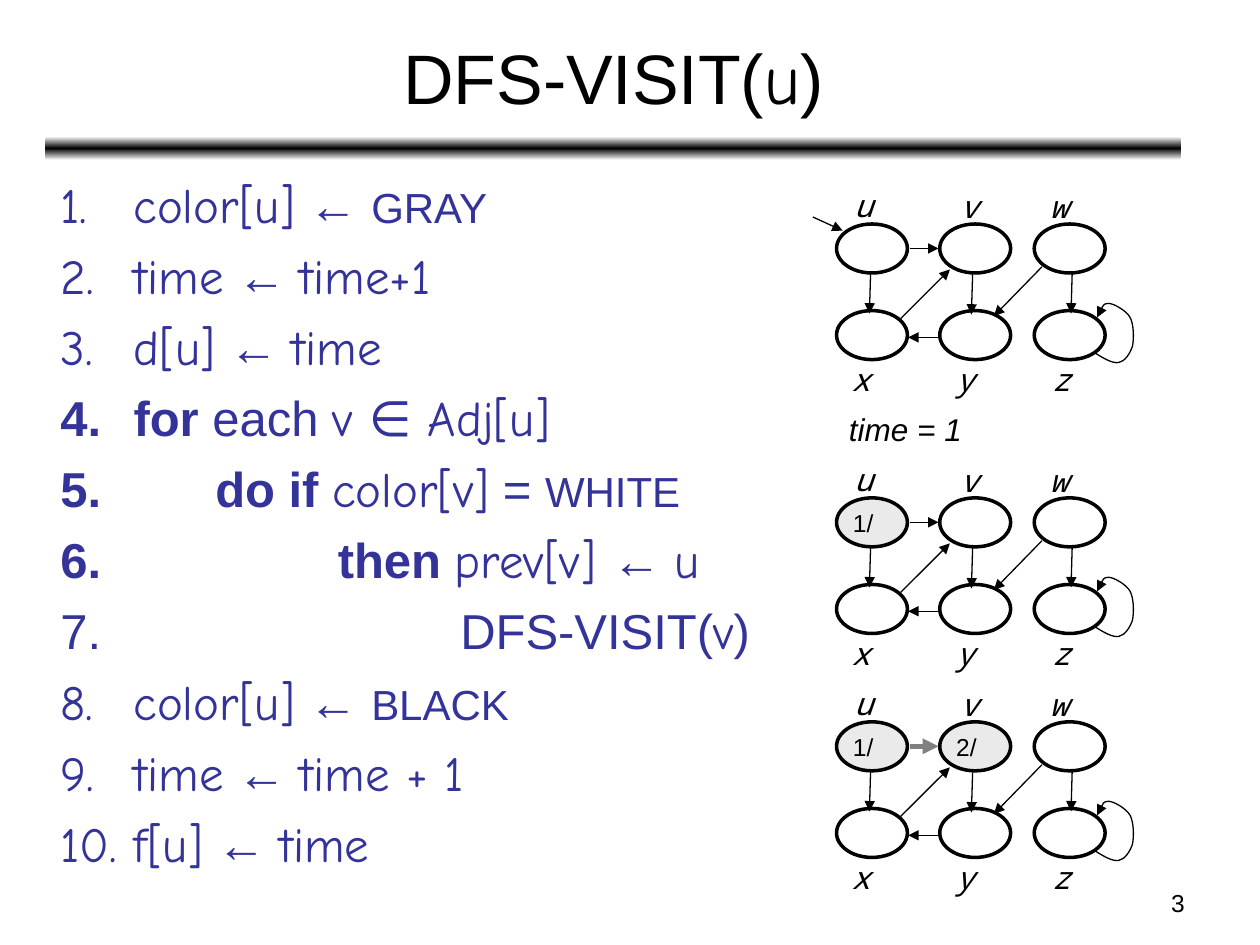
import copy

from pptx import Presentation
from pptx import util as u
from pptx.dml.color import RGBColor
from pptx.enum import shapes, text
from pptx.oxml.ns import qn
from lxml import etree

Pt = u.Pt
COLORS = {"ink": "000000", "code": "333399", "visited": "EAEAEA", "tree": "808080", "paper": "FFFFFF"}
SANS, HAND, MONO = "Arial", "Comic Neue", "Noto Sans Mono"

# Content: (text, font, bold, size)
TITLE = [("DFS-VISIT(", SANS), ("u", HAND), (")", SANS)]
ARROW = (" ← ", SANS)
# Each line: indent depth, runs
CODE = [
    (0, [("color[u]", HAND), ARROW, ("GRAY", SANS, False, 24)]),
    (0, [("time", HAND), ARROW, ("time+1", HAND)]),
    (0, [("d[u]", HAND), ARROW, ("time", HAND)]),
    (0, [("for ", SANS, True), ("each ", SANS), ("v ∈ Adj[u]", HAND)]),
    (1, [("do if ", SANS, True), ("color[v]", HAND), (" = ", SANS), ("WHITE", SANS, False, 24)]),
    (2, [("then ", SANS, True), ("prev[v] ", HAND), ("← ", SANS), ("u", HAND)]),
    (3, [("DFS-VISIT(", SANS), ("v", HAND), (")", SANS)]),
    (0, [("color[u]", HAND), ARROW, ("BLACK", SANS, False, 24)]),
    (0, [("time", HAND), ARROW, ("time + 1", HAND)]),
    (0, [("f[u]", HAND), ARROW, ("time", HAND)]),
]
INDENTS = [41.75, 88.5, 158.5, 228.5]

# Graph geometry, relative to the corner of node u
NODES = {"u": (0, 0), "v": (59, 0), "w": (113, 0), "x": (0, 49.5), "y": (59, 49.5), "z": (113, 49.5)}
NODE_SIZE = (40.5, 28)
LABELS = {"u": (3, -25.2, 23), "v": (63.5, -24.5, 22.5), "w": (114.5, -24.5, 27),
          "x": (1.5, 74, 22.5), "y": (61, 74, 21.5), "z": (116, 74, 22.5)}
EDGES = {"ux": (19.5, 28, 18.8, 51.2), "vy": (77.8, 28.8, 77.1, 51.8), "wz": (134.7, 28, 134, 51.2),
         "uv": (41.8, 14, 58.3, 14), "yx": (58.3, 64.8, 41, 64.8),
         "wy": (117.4, 24.5, 90, 52.6), "xv": (36.7, 54, 64.8, 26)}
# Start point, then three points for each curve segment
SELF_LOOP = [(147.6, 73.6), (152.6, 76.8), (157.7, 79.8), (161.3, 79.2), (164.9, 78.5), (167.8, 74),
             (169.2, 69.8), (170, 65.5), (170, 57.6), (167.8, 53.4), (165.6, 49.5), (158.4, 45.4),
             (155.5, 45.4), (152.6, 45.4), (150.5, 49.5), (149, 53.4)]

# Each step: top, times shown in visited nodes, tree edges
GRAPH_LEFT = 478
STEPS = [(128, {}, []), (284.5, {"u": "1/"}, []), (412.5, {"u": "1/", "v": "2/"}, ["uv"])]


def rgb(name):
    return RGBColor.from_string(COLORS[name])


def set_font(font, size, name, color="ink", **style):
    font.size, font.name = Pt(size), name
    font.color.rgb = rgb(color)
    for key, value in style.items():
        setattr(font, key, value)


def add_runs(paragraph, runs, size, color):
    for content, name, *rest in runs:
        bold, run_size = (rest + [False, size][len(rest):])
        run = paragraph.add_run()
        run.text = content
        set_font(run.font, run_size, name, color, bold=bold)


def add_text(parent, box, content, size, name, wrap=False, align=None, **style):
    shape = parent.add_textbox(*map(Pt, box))
    shape.text_frame.word_wrap = wrap
    paragraph = shape.text_frame.paragraphs[0]
    paragraph.text = content
    if align is not None:
        paragraph.alignment = align
    set_font(paragraph.font, size, name, **style)


def add_arrowhead(shape):
    tail = etree.SubElement(shape.line._get_or_add_ln(), qn("a:tailEnd"))
    tail.set("type", "triangle")


def add_arrow(parent, ends, color="ink", width=0.75):
    arrow = parent.add_connector(shapes.MSO_CONNECTOR.STRAIGHT, *map(Pt, ends))
    arrow.line.color.rgb = rgb(color)
    arrow.line.width = Pt(width)
    add_arrowhead(arrow)
    etree.SubElement(arrow._element.spPr, qn("a:effectLst"))


def add_self_loop(parent, points):
    points = [(Pt(x), Pt(y)) for x, y in points]
    builder = parent.build_freeform(*points[0])
    builder.add_line_segments(points[1:], close=False)
    loop = builder.convert_to_shape()
    loop.shadow.inherit = False
    loop.fill.background()
    loop.line.color.rgb = rgb("ink")
    loop.line.width = Pt(0.75)
    add_arrowhead(loop)
    # Turn each three straight segments into one cubic curve
    outline = next(loop._element.iter(qn("a:path")))
    segments = outline.findall(qn("a:lnTo"))
    for start in range(0, len(segments), 3):
        curve = etree.SubElement(outline, qn("a:cubicBezTo"))
        for segment in segments[start:start + 3]:
            curve.append(segment[0])
            outline.remove(segment)


def add_graph(slide, top, times, tree_edges):
    parent = slide.shapes.add_group_shape().shapes
    for name, (x, y) in NODES.items():
        node = parent.add_shape(shapes.MSO_SHAPE.OVAL, Pt(GRAPH_LEFT + x), Pt(top + y), *map(Pt, NODE_SIZE))
        node.shadow.inherit = False
        node.line.color.rgb = rgb("ink")
        node.line.width = Pt(2)
        if name not in times:
            node.fill.background()
            continue
        node.fill.solid()
        node.fill.fore_color.rgb = rgb("visited")
        frame = node.text_frame
        frame.word_wrap = False
        frame.margin_left, frame.margin_right = 0, Pt(10)
        frame.vertical_anchor = text.MSO_ANCHOR.MIDDLE
        paragraph = frame.paragraphs[0]
        paragraph.text = times[name]
        paragraph.alignment = text.PP_ALIGN.CENTER
        set_font(paragraph.font, 14, SANS)
    for name, (x, y, width) in LABELS.items():
        add_text(parent, (GRAPH_LEFT + x, top + y, width, 28.8), name, 18, MONO, italic=True)
    for name, (x1, y1, x2, y2) in EDGES.items():
        style = ("tree", 3) if name in tree_edges else ()
        add_arrow(parent, (GRAPH_LEFT + x1, top + y1, GRAPH_LEFT + x2, top + y2), *style)
    add_self_loop(parent, [(GRAPH_LEFT + x, top + y) for x, y in SELF_LOOP])


def add_rule(slide):
    bar = slide.shapes.add_shape(shapes.MSO_SHAPE.ROUNDED_RECTANGLE, Pt(26), Pt(78), Pt(649), Pt(13.5))
    bar.shadow.inherit = False
    bar.line.fill.background()
    bar.fill.gradient()
    bar.fill.gradient_angle = 90
    stop_list = next(bar._element.iter(qn("a:gsLst")))
    stop_list.insert(1, copy.deepcopy(stop_list[0]))
    for stop, position, color in zip(bar.fill.gradient_stops, (0, 0.5, 1), ("paper", "ink", "paper")):
        stop.position = position
        stop.color.rgb = rgb(color)


def add_code(slide):
    frame = slide.shapes.add_textbox(Pt(27.5), Pt(96), Pt(648), Pt(421)).text_frame
    frame.word_wrap = True
    for index, (depth, runs) in enumerate(CODE):
        paragraph = frame.add_paragraph() if index else frame.paragraphs[0]
        if index:
            paragraph.space_before = Pt(7)
        properties = paragraph._p.get_or_add_pPr()
        properties.set("marL", str(Pt(INDENTS[depth])))
        properties.set("indent", str(-Pt(INDENTS[depth])))
        etree.SubElement(properties, qn("a:buAutoNum")).set("type", "arabicPeriod")
        add_runs(paragraph, runs, 28, "code")


def main():
    presentation = Presentation()
    presentation.slide_width, presentation.slide_height = Pt(720), Pt(540)
    slide = presentation.slides.add_slide(presentation.slide_layouts[5])

    # Title and rule
    title = slide.shapes.title
    title.left, title.top, title.width, title.height = map(Pt, (26.5, 8, 648, 71))
    title.text_frame.vertical_anchor = text.MSO_ANCHOR.MIDDLE
    title.text_frame.paragraphs[0].alignment = text.PP_ALIGN.CENTER
    add_runs(title.text_frame.paragraphs[0], TITLE, 40, "ink")
    add_rule(slide)

    # Pseudocode, graph steps, start arrow, caption and page number
    add_code(slide)
    for step in STEPS:
        add_graph(slide, *step)
    add_arrow(slide.shapes, (464.5, 124, 481.5, 131.8))
    add_text(slide.shapes, (478, 230.5, 79, 28.8), "time = 1", 18, SANS, italic=True)
    add_text(slide.shapes, (516, 504, 168, 25), "3", 14, SANS, wrap=True, align=text.PP_ALIGN.RIGHT)
    presentation.save("out.pptx")


if __name__ == "__main__":
    main()
